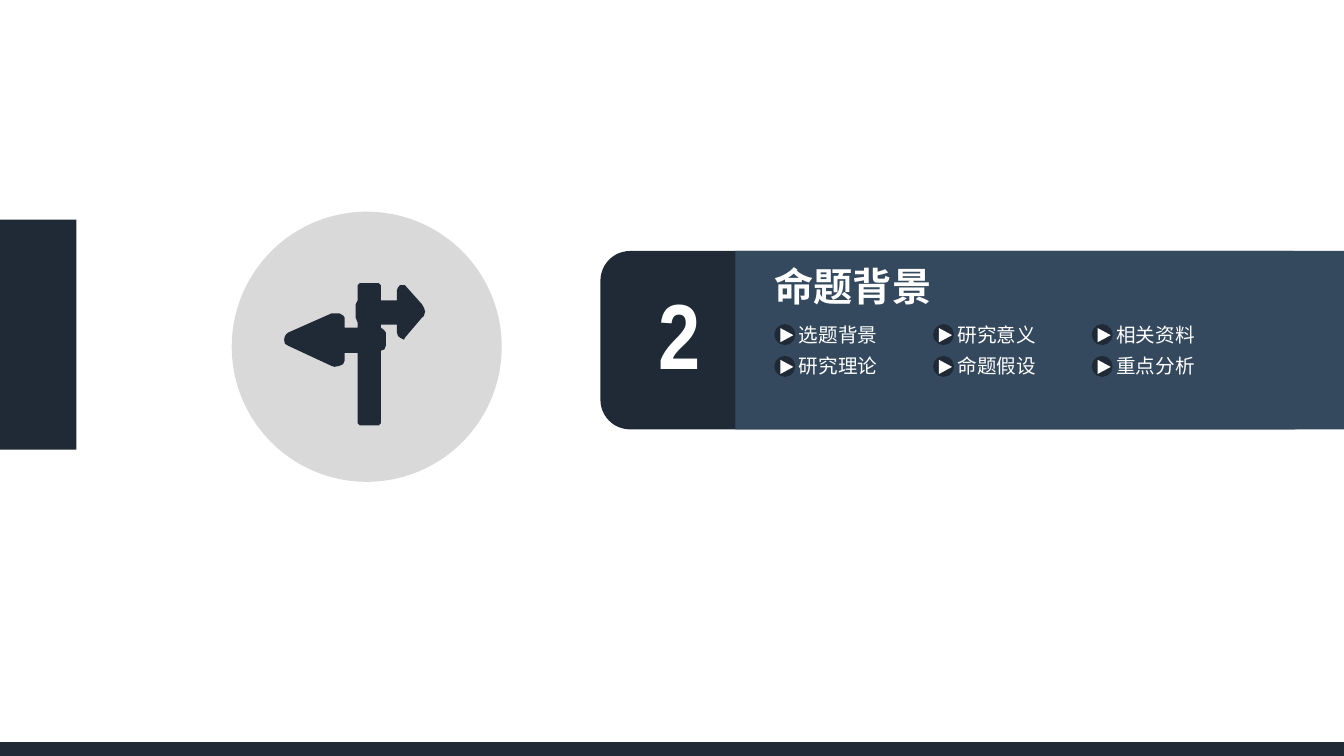
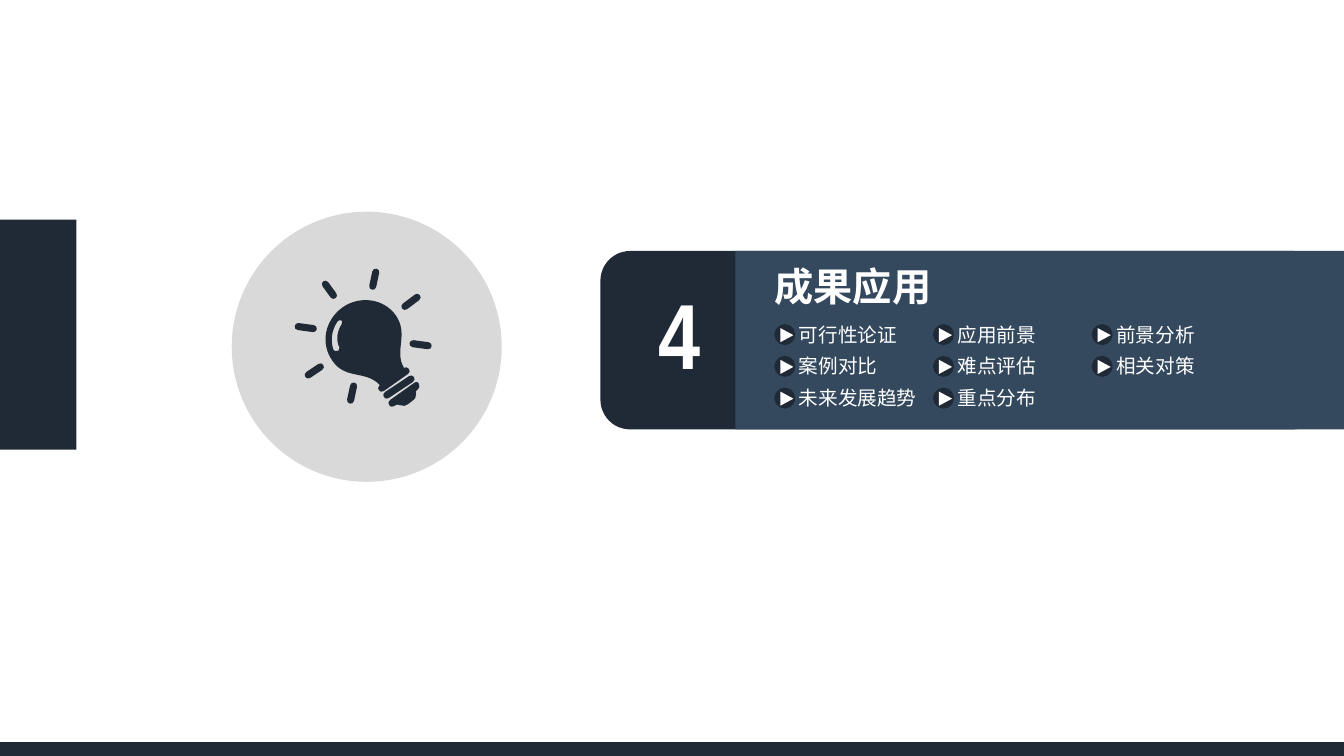
"""Build two section divider slides for a thesis presentation."""
import math

from lxml import etree
from pptx import Presentation
from pptx.dml.color import RGBColor
from pptx.enum import shapes, text
from pptx.oxml import ns
from pptx.util import Inches, Pt

NAVY = RGBColor(0x20, 0x2A, 0x36)
SLATE = RGBColor(0x34, 0x49, 0x5E)
GREY = RGBColor(0xD9, 0xD9, 0xD9)
WHITE = RGBColor(0xFF, 0xFF, 0xFF)
CJK_FONT = "Noto Sans CJK SC"
NUMBER_FONT = "Arial Narrow"
SHAPE = shapes.MSO_SHAPE

COLUMNS = 3
GRID_LEFT, GRID_TOP = 7.7, 3.2
COLUMN_PITCH, ROW_PITCH = 3.15 / 2, 0.63 / 2

SIGNPOST = [
    (4.19, 3.02), (4.02, 2.83), (4.01, 2.83, 4.01, 2.83, 3.99, 2.83),
    (3.97, 2.83), (3.96, 2.84, 3.94, 2.86, 3.94, 2.88), (3.94, 2.98),
    (3.78, 2.98), (3.78, 2.83), (3.76, 2.81), (3.57, 2.81), (3.55, 2.83),
    (3.55, 2.98), (3.53, 3.02), (3.53, 3.15), (3.55, 3.2), (3.55, 3.25),
    (3.42, 3.25), (3.42, 3.15), (3.42, 3.14, 3.4, 3.12, 3.37, 3.11),
    (3.29, 3.11), (2.86, 3.3), (2.83, 3.32, 2.82, 3.35, 2.82, 3.37),
    (2.82, 3.4, 2.83, 3.43, 2.86, 3.43), (3.29, 3.63), (3.32, 3.64),
    (3.37, 3.63), (3.4, 3.63, 3.42, 3.6, 3.42, 3.58), (3.42, 3.5),
    (3.55, 3.5), (3.55, 4.2), (3.57, 4.22), (3.76, 4.22), (3.78, 4.2),
    (3.78, 3.48), (3.81, 3.48, 3.83, 3.46, 3.83, 3.43), (3.83, 3.3),
    (3.83, 3.29, 3.81, 3.27, 3.78, 3.25), (3.78, 3.22), (3.94, 3.22),
    (3.94, 3.3), (3.94, 3.32, 3.96, 3.35, 3.97, 3.35), (4.01, 3.37),
    (4.02, 3.35), (4.19, 3.15), (4.2, 3.15, 4.22, 3.12, 4.22, 3.09),
    (4.22, 3.07, 4.2, 3.04, 4.19, 3.02),
]
BULB_BODY = [
    (4.06, 3.66), (4.07, 3.68, 4.07, 3.7, 4.05, 3.71), (3.81, 3.88),
    (3.79, 3.89, 3.77, 3.89, 3.76, 3.87),
    (3.75, 3.86, 3.75, 3.84, 3.77, 3.82),
    (3.63, 3.67, 3.43, 3.77, 3.3, 3.58),
    (3.18, 3.41, 3.22, 3.18, 3.4, 3.05),
    (3.57, 2.93, 3.81, 2.96, 3.93, 3.13),
    (4.06, 3.32, 3.91, 3.48, 4.01, 3.65),
    (4.02, 3.64, 4.05, 3.64, 4.06, 3.66),
]
BULB_GLEAM = [
    (3.39, 3.18), (3.37, 3.17, 3.36, 3.18, 3.35, 3.19),
    (3.29, 3.28, 3.28, 3.38, 3.31, 3.47),
    (3.32, 3.48, 3.33, 3.49, 3.35, 3.48), (3.36, 3.48), (3.37, 3.45),
    (3.33, 3.37, 3.35, 3.28, 3.39, 3.22),
    (3.4, 3.2, 3.4, 3.19, 3.39, 3.18),
]
BULB_CAP = [
    (4.11, 3.8), (3.87, 3.97), (3.85, 3.98, 3.85, 4.01, 3.87, 4.03),
    (3.88, 4.03, 3.9, 4.04, 3.91, 4.03),
    (3.93, 4.01, 3.95, 4.01, 3.97, 4.02),
    (4, 4.03, 4.03, 4.03, 4.05, 4.01), (4.09, 3.98),
    (4.12, 3.97, 4.13, 3.94, 4.13, 3.91),
    (4.12, 3.89, 4.13, 3.87, 4.15, 3.86),
    (4.16, 3.85, 4.17, 3.83, 4.16, 3.82),
    (4.16, 3.79, 4.13, 3.78, 4.11, 3.8),
]
BULB_BARS = [
    (3.23, 2.82, 3.31, 2.93), (2.96, 3.24, 3.11, 3.26),
    (3.06, 3.72, 3.18, 3.64), (3.48, 3.97, 3.51, 3.83),
    (4.1, 3.41, 4.25, 3.43), (4.14, 2.95, 4.02, 3.04),
    (3.73, 2.7, 3.7, 2.84), (4.08, 3.76, 3.84, 3.92),
]


def add_box(parent, kind, left, top, width, height, fill, line=None):
    sp = parent.add_shape(kind, Inches(left), Inches(top), Inches(width), Inches(height))
    sp.shadow.inherit = False
    sp.fill.solid()
    sp.fill.fore_color.rgb = fill
    if line is None:
        sp.line.fill.background()
    else:
        sp.line.color.rgb = line
        sp.line.width = Pt(2)
    return sp


def add_text(parent, words, left, top, width, height, size, font=CJK_FONT,
             bold=False, align=text.PP_ALIGN.LEFT, insets=(0, 0)):
    sp = parent.add_textbox(Inches(left), Inches(top), Inches(width), Inches(height))
    tf = sp.text_frame
    tf.word_wrap = True
    tf.margin_left = tf.margin_right = Inches(insets[0])
    tf.margin_top = tf.margin_bottom = Inches(insets[1])
    p = tf.paragraphs[0]
    p.text = words
    p.alignment = align
    p.font.size = Pt(size)
    p.font.bold = bold
    p.font.name = font
    p.font.color.rgb = WHITE
    props = p._p.pPr.find(ns.qn("a:defRPr"))
    etree.SubElement(props, ns.qn("a:ea")).set("typeface", font)


def capsule(x1, y1, x2, y2, radius=0.035):
    length = math.hypot(x2 - x1, y2 - y1)
    dx, dy = radius * (x2 - x1) / length, radius * (y2 - y1) / length
    bx, by = dx * 4 / 3, dy * 4 / 3
    return [
        (x1 + dy, y1 - dx), (x2 + dy, y2 - dx),
        (x2 + dy + bx, y2 - dx + by, x2 - dy + bx, y2 + dx + by, x2 - dy, y2 + dx),
        (x1 - dy, y1 + dx),
        (x1 - dy - bx, y1 + dx - by, x1 + dy - bx, y1 - dx - by, x1 + dy, y1 - dx),
    ]


def curve_segments(sp, segments):
    lines = list(sp._element.iter(ns.qn("a:lnTo")))
    for line, segment in zip(lines, segments):
        if len(segment) == 2:
            continue
        line.tag = ns.qn("a:cubicBezTo")
        for i in (0, 2):
            pt = etree.Element(ns.qn("a:pt"))
            pt.set("x", str(Inches(segment[i]) - sp.left))
            pt.set("y", str(Inches(segment[i + 1]) - sp.top))
            line.insert(i // 2, pt)


def add_icon(s, outlines):
    contours = [[(Inches(seg[-2]), Inches(seg[-1])) for seg in o] for o in outlines]
    builder = s.shapes.build_freeform(*contours[0][0], scale=1.0)
    for i, contour in enumerate(contours):
        if i:
            builder.move_to(*contour[0])
        builder.add_line_segments(contour[1:], close=True)
    sp = builder.convert_to_shape()
    curve_segments(sp, [seg for o in outlines for seg in o[1:]])
    sp.shadow.inherit = False
    sp.fill.solid()
    sp.fill.fore_color.rgb = NAVY
    sp.line.fill.background()


def add_topic(s, words, index):
    row, column = divmod(index, COLUMNS)
    left = GRID_LEFT + column * COLUMN_PITCH
    top = GRID_TOP + row * ROW_PITCH
    group = s.shapes.add_group_shape().shapes
    add_text(group, words, left + 0.23, top, 1.34, 0.24, 14)
    add_box(group, SHAPE.OVAL, left, top + 0.03, 0.18, 0.18, NAVY, NAVY)
    arrow = add_box(group, SHAPE.ISOSCELES_TRIANGLE, left + 0.04, top + 0.06, 0.14, 0.13, WHITE)
    arrow.rotation = 90


def add_section(prs, number, title, topics, icon):
    s = prs.slides.add_slide(prs.slide_layouts[6])
    add_box(s.shapes, SHAPE.OVAL, 2.3, 2.1, 2.68, 2.68, GREY)
    add_box(s.shapes, SHAPE.RECTANGLE, 0, 2.18, 0.76, 2.28, NAVY)
    add_box(s.shapes, SHAPE.ROUNDED_RECTANGLE, 5.96, 2.49, 7.17, 1.77, NAVY)
    add_box(s.shapes, SHAPE.RECTANGLE, 7.3, 2.49, 6.04, 1.77, SLATE)
    add_text(s.shapes, number, 6.43, 2.7, 0.63, 1.21, 66, NUMBER_FONT, True,
             text.PP_ALIGN.CENTER, (0.1, 0.05))
    add_text(s.shapes, title, 7.62, 2.56, 2.3, 0.55, 28, bold=True, insets=(0.07, 0.04))
    for index, topic in enumerate(topics):
        add_topic(s, topic, index)
    add_box(s.shapes, SHAPE.RECTANGLE, 0, 7.38, 13.34, 0.12, NAVY, NAVY)
    add_icon(s, icon)


def main():
    prs = Presentation()
    prs.slide_width, prs.slide_height = Inches(13.34), Inches(7.5)
    add_section(prs, "2", "命题背景",
                ["选题背景", "研究意义", "相关资料", "研究理论", "命题假设", "重点分析"],
                [SIGNPOST])
    bulb = [BULB_BODY, BULB_GLEAM, BULB_CAP] + [capsule(*bar) for bar in BULB_BARS]
    add_section(prs, "4", "成果应用",
                ["可行性论证", "应用前景", "前景分析", "案例对比", "难点评估", "相关对策",
                 "未来发展趋势", "重点分布"],
                bulb)
    prs.save("out.pptx")


if __name__ == "__main__":
    main()
